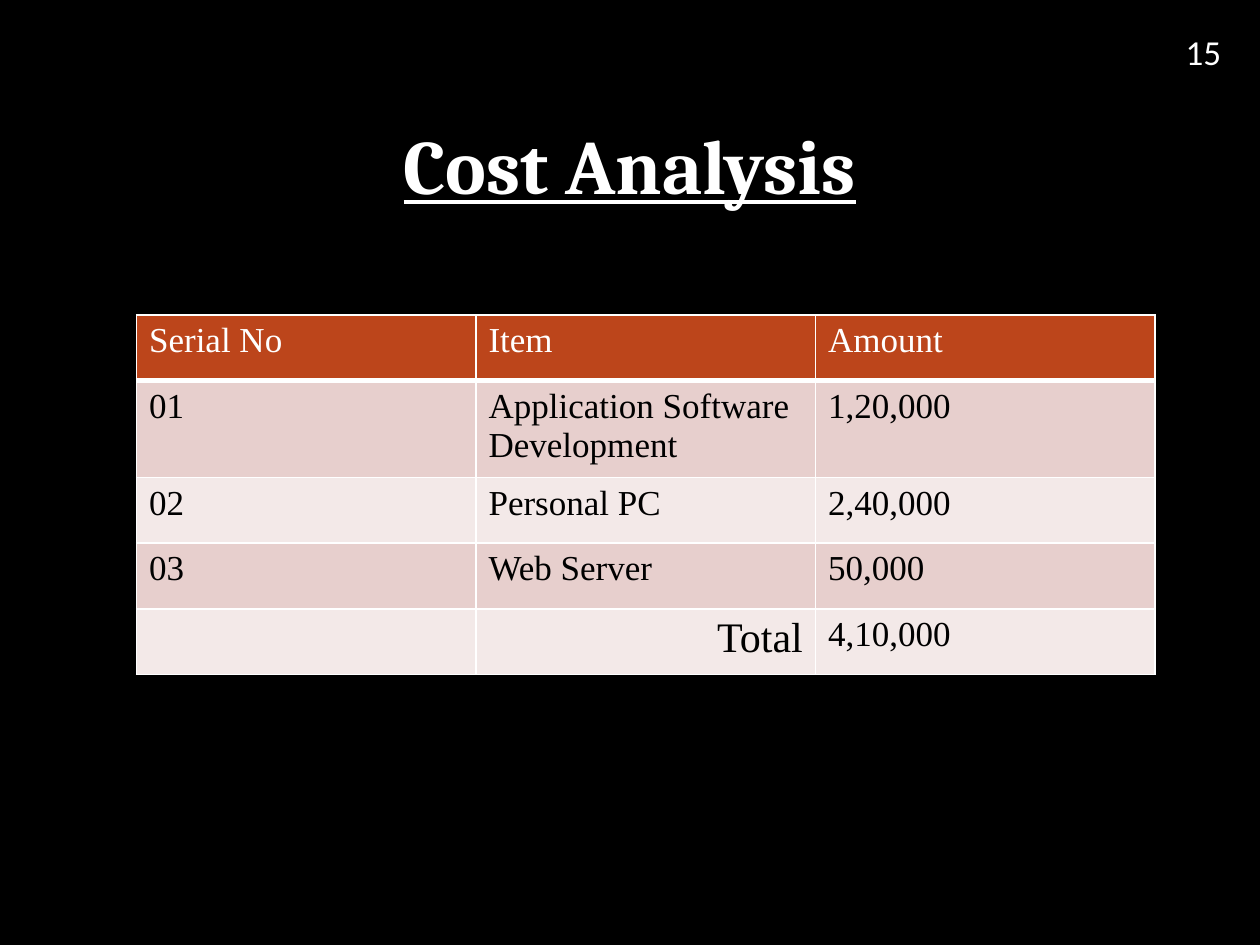
import pptx
import pptx.dml.color
import pptx.enum.text
import pptx.oxml
import pptx.oxml.ns
import pptx.util

Pt = pptx.util.Pt
Align = pptx.enum.text.PP_ALIGN

WHITE, BLACK = "FFFFFF", "000000"
HEADER_FILL = "BC451B"
BAND_FILLS = ("E7CFCD", "F3E9E8")


def color(code):
    return pptx.dml.color.RGBColor.from_string(code)


def write(frame, text, font="Times New Roman", size=20, ink=BLACK,
          align=Align.LEFT, bold=False, underline=False):
    """Put one formatted line of text into a text frame."""
    para = frame.paragraphs[0]
    para.alignment = align
    span = para.add_run()
    span.text = text
    span.font.name = font
    span.font.size = Pt(size)
    span.font.color.rgb = color(ink)
    span.font.bold = bold
    span.font.underline = underline


def set_borders(cell, bottom=1):
    """Draw white cell borders; widths are in points."""
    properties = cell._tc.get_or_add_tcPr()
    widths = {"lnL": 1, "lnR": 1, "lnT": 1, "lnB": bottom}
    for index, (side, width) in enumerate(widths.items()):
        line = pptx.oxml.parse_xml(
            f'<a:{side} {pptx.oxml.ns.nsdecls("a")} w="{Pt(width)}">'
            f'<a:solidFill><a:srgbClr val="{WHITE}"/></a:solidFill></a:{side}>')
        properties.insert(index, line)


class SlideBuilder:
    def __init__(self, deck):
        self.page = deck.slides.add_slide(deck.slide_layouts[6])
        self.page.background.fill.solid()
        self.page.background.fill.fore_color.rgb = color(BLACK)

    def text(self, text, left, top, width, height, inset=3.6, **style):
        box = self.page.shapes.add_textbox(Pt(left), Pt(top), Pt(width), Pt(height))
        box.text_frame.word_wrap = True
        box.text_frame.margin_top = Pt(inset)
        write(box.text_frame, text, ink=WHITE, **style)

    def table(self, rows, left, top, column_width, heights):
        columns = len(rows[0])
        table = self.page.shapes.add_table(
            len(rows), columns, Pt(left), Pt(top),
            Pt(column_width * columns), Pt(sum(heights))).table
        for column in table.columns:
            column.width = Pt(column_width)
        for index, (values, height) in enumerate(zip(rows, heights)):
            table.rows[index].height = Pt(height)
            header = index == 0
            for cell, value in zip(table.rows[index].cells, values):
                cell.fill.solid()
                cell.fill.fore_color.rgb = color(
                    HEADER_FILL if header else BAND_FILLS[(index - 1) % 2])
                set_borders(cell, bottom=3 if header else 1)
                if value == "Total":
                    write(cell.text_frame, value, size=24, align=Align.RIGHT)
                elif value:
                    write(cell.text_frame, value, ink=WHITE if header else BLACK)


def main():
    deck = pptx.Presentation()
    deck.slide_width, deck.slide_height = Pt(720), Pt(540)
    slide = SlideBuilder(deck)
    slide.text("Cost Analysis", 0, 10, 720, 220, inset=57, font="Cambria",
               size=44, align=Align.CENTER, bold=True, underline=True)
    slide.table([
        ("Serial No", "Item", "Amount"),
        ("01", "Application Software Development", "1,20,000"),
        ("02", "Personal PC", "2,40,000"),
        ("03", "Web Server", "50,000"),
        ("", "Total", "4,10,000"),
    ], left=78, top=180, column_width=194, heights=(37.5, 55.5, 37.5, 37.5, 37.5))
    slide.text("15", 670.5, 14, 45, 31.5, font="Calibri")
    deck.save("out.pptx")


if __name__ == "__main__":
    main()
